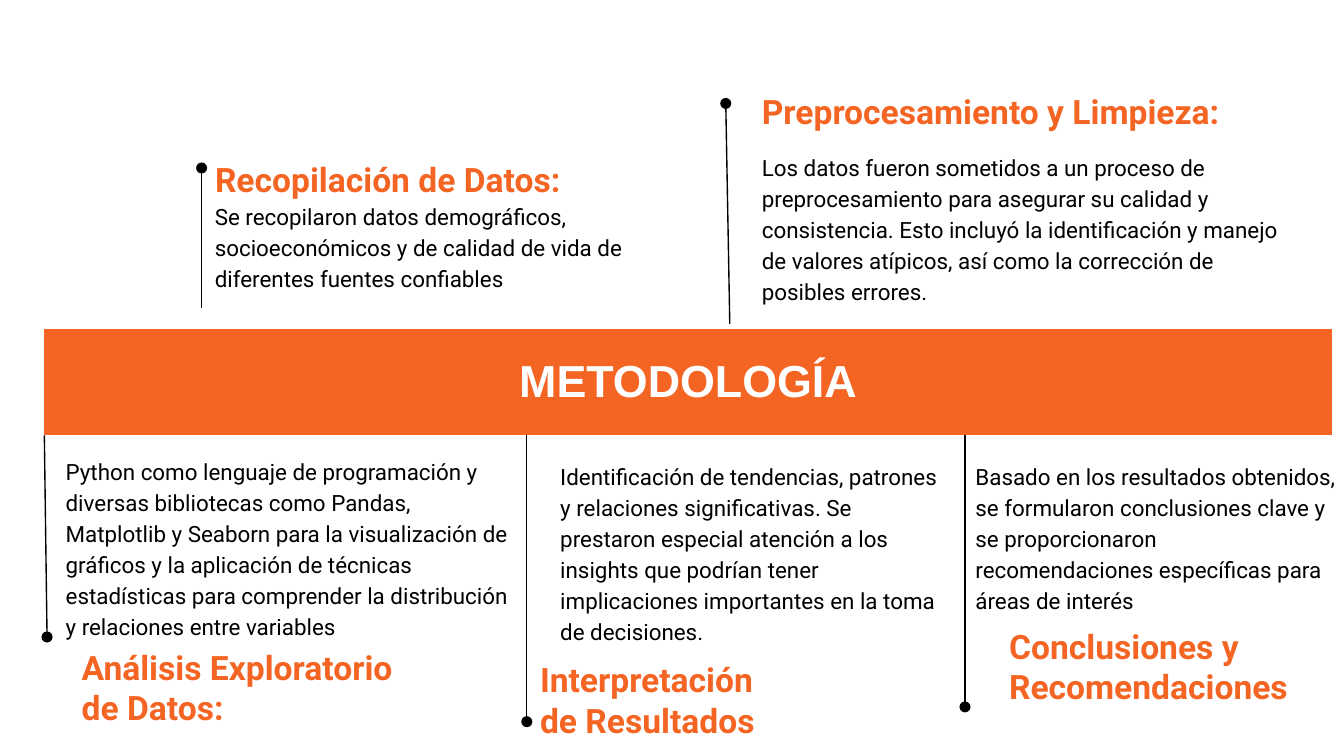
from lxml.etree import SubElement
from pptx import Presentation
from pptx.dml.color import RGBColor
from pptx.enum.shapes import MSO_CONNECTOR
from pptx.enum.text import MSO_ANCHOR as Anchor, MSO_AUTO_SIZE as AutoSize, PP_ALIGN as Align
from pptx.oxml.ns import qn
from pptx.util import Inches, Pt

ORANGE, BLACK, WHITE = "F46524", "000000", "FFFFFF"
NO_STYLE = "{2D5ABB26-0587-4C30-8999-92F81FD0307C}"
INSET = 0.1

# Content: boxes are left, top, width, height; stems run from the band to the dot
BAND_TEXT = "METODOLOGÍA"
BAND = (0.33, 2.45, 9.58, 0.79)
FIRST_COLUMN, OTHER_COLUMNS = 1.65, 7
STEPS = [
    dict(heading="Recopilación de Datos:", heading_box=(1.5, 1.12, 3.03, 0.43), spacing=1,
         body="Se recopilaron datos demográficos, socioeconómicos y de calidad de vida de "
              "diferentes fuentes confiables",
         body_box=(1.5, 1.38, 3.59, 0.91), stem=(1.5, 2.29, 1.5, 1.25)),
    dict(heading="Preprocesamiento y Limpieza:", heading_box=(5.57, 0.59, 3.91, 0.43), spacing=1.15,
         body="Los datos fueron sometidos a un proceso de preprocesamiento para asegurar su "
              "calidad y consistencia. Esto incluyó la identificación y manejo de valores "
              "atípicos, así como la corrección de posibles errores.",
         body_box=(5.57, 1.02, 4.19, 0.63), stem=(5.43, 2.41, 5.4, 0.77)),
    dict(heading="Análisis Exploratorio de Datos:", heading_box=(0.51, 4.9, 2.53, 0.43), spacing=1,
         body="Python como lenguaje de programación y diversas bibliotecas como Pandas, "
              "Matplotlib y Seaborn para la visualización de gráficos y la aplicación de "
              "técnicas estadísticas para comprender la distribución y relaciones entre variables",
         body_box=(0.39, 3.28, 3.49, 0.63), stem=(0.33, 3.24, 0.35, 4.74)),
    dict(heading="Interpretación de Resultados", heading_box=(3.92, 4.99, 2.06, 0.43), spacing=1,
         body="Identificación de tendencias, patrones y relaciones significativas. Se prestaron "
              "especial atención a los insights que podrían tener implicaciones importantes en "
              "la toma de decisiones.",
         body_box=(4.07, 3.32, 3.11, 0.63), stem=(3.92, 3.24, 3.92, 5.37)),
    dict(heading="Conclusiones y Recomendaciones", heading_box=(7.41, 4.74, 2.39, 0.43), spacing=1,
         body="Basado en los resultados obtenidos, se formularon conclusiones clave y se "
              "proporcionaron recomendaciones específicas para áreas de interés",
         body_box=(7.16, 3.32, 2.9, 0.63), stem=(7.18, 3.24, 7.18, 5.26)),
]


def color(value):
    return RGBColor.from_string(value)


def set_font(para, name, size, value, bold=False):
    font = para.font
    font.name, font.size, font.bold = name, Pt(size), bold
    font.color.rgb = color(value)


def set_margins(target):
    target.margin_left = target.margin_right = Inches(INSET)
    target.margin_top = target.margin_bottom = Inches(INSET)


def fill_box(box, place, text, size, value, bold, anchor, spacing):
    box.left, box.top, box.width, box.height = map(Inches, place)
    frame = box.text_frame
    frame.text = text
    frame.word_wrap = True
    frame.auto_size = AutoSize.NONE
    frame.vertical_anchor = anchor
    set_margins(frame)
    para = frame.paragraphs[0]
    para.alignment = Align.LEFT
    para.line_spacing = spacing
    set_font(para, "Roboto", size, value, bold)


def add_stem(page, ends):
    stem = page.shapes.add_connector(MSO_CONNECTOR.STRAIGHT, *map(Inches, ends))
    stem.line.color.rgb = color(BLACK)
    stem.line.width = Pt(0.75)
    SubElement(stem.line._get_or_add_ln(), qn("a:tailEnd"), type="oval")
    SubElement(stem._element.spPr, qn("a:effectLst"))


def add_band(page):
    table = page.shapes.add_table(1, 1 + OTHER_COLUMNS, *map(Inches, BAND)).table
    table._tbl.tblPr.find(qn("a:tableStyleId")).text = NO_STYLE
    other_width = (BAND[2] - FIRST_COLUMN) / OTHER_COLUMNS
    for column, width in zip(table.columns, [FIRST_COLUMN] + [other_width] * OTHER_COLUMNS):
        column.width = Inches(width)
    cell = table.cell(0, 0)
    cell.merge(table.cell(0, OTHER_COLUMNS))
    for part in table.iter_cells():
        part.fill.solid()
        part.fill.fore_color.rgb = color(ORANGE)
    cell.text = BAND_TEXT
    cell.vertical_anchor = Anchor.MIDDLE
    set_margins(cell)
    para = cell.text_frame.paragraphs[0]
    para.alignment = Align.CENTER
    set_font(para, "Arial", 24, WHITE, bold=True)


def main():
    # Widescreen page, 16 to 9
    deck = Presentation()
    deck.slide_width = Inches(10)
    deck.slide_height = deck.slide_width * 9 // 16
    page = deck.slides.add_slide(deck.slide_layouts[5])

    # Central band
    add_band(page)

    # Steps around the band; the first heading is the slide's title
    for index, step in enumerate(STEPS):
        add_stem(page, step["stem"])
        heading = page.shapes.title if index == 0 else page.shapes.add_textbox(0, 0, 0, 0)
        fill_box(heading, step["heading_box"], step["heading"], 18, ORANGE, True,
                 Anchor.MIDDLE, step["spacing"])
        body = page.shapes.add_textbox(0, 0, 0, 0)
        fill_box(body, step["body_box"], step["body"], 12, BLACK, False, Anchor.TOP, 1.15)

    deck.save("out.pptx")


if __name__ == "__main__":
    main()
